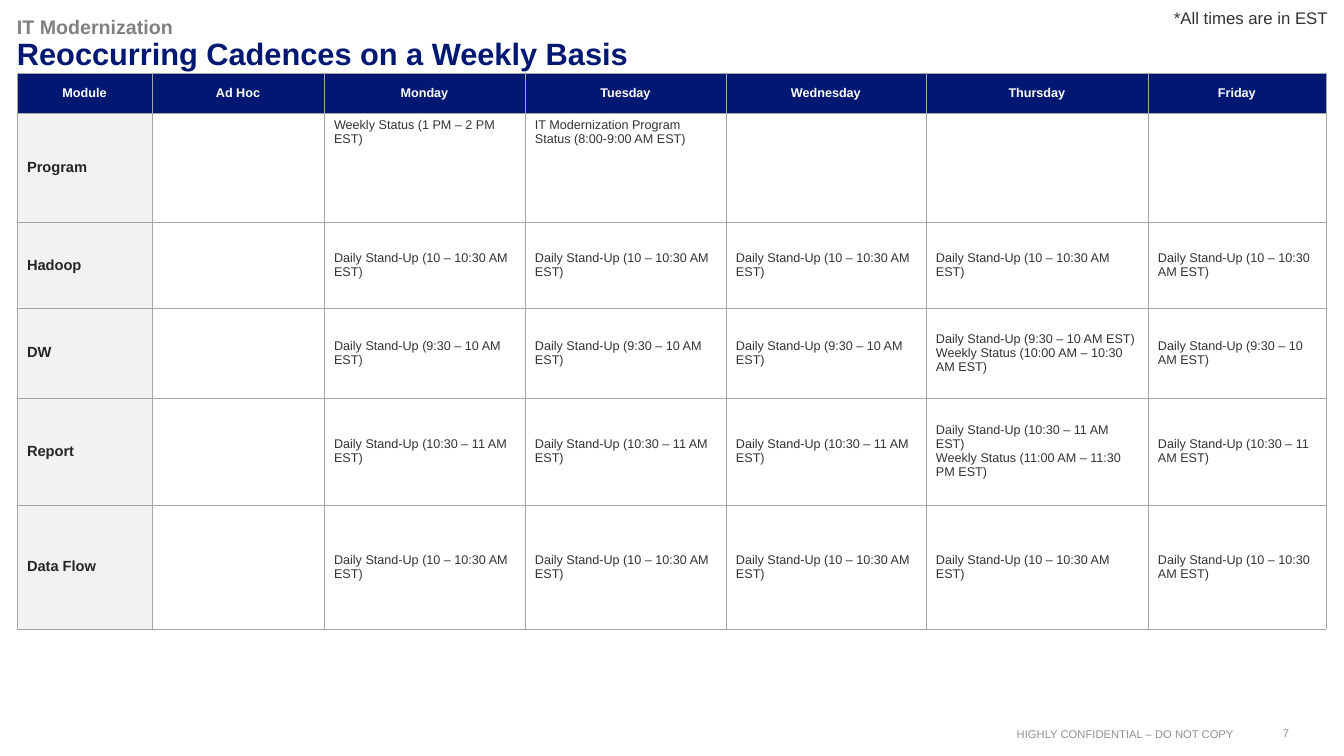
from lxml import etree
from pptx import Presentation
from pptx.dml.color import RGBColor
from pptx.enum.text import MSO_ANCHOR, MSO_AUTO_SIZE, PP_ALIGN
from pptx.oxml.ns import qn
from pptx.util import Emu, Pt

LEFT, CENTER, RIGHT = PP_ALIGN.LEFT, PP_ALIGN.CENTER, PP_ALIGN.RIGHT
TOP, MIDDLE, BOTTOM = MSO_ANCHOR.TOP, MSO_ANCHOR.MIDDLE, MSO_ANCHOR.BOTTOM
NO_FIT, GROW = MSO_AUTO_SIZE.NONE, MSO_AUTO_SIZE.SHAPE_TO_FIT_TEXT

NAVY = RGBColor(0x00, 0x18, 0x71)
WHITE = RGBColor(0xFF, 0xFF, 0xFF)
PALE = RGBColor(0xF2, 0xF2, 0xF2)
RULE = RGBColor(0xA6, 0xA6, 0xA6)
FAINT = RGBColor(0x90, 0x90, 0x90)
GRAY = RGBColor(0x80, 0x80, 0x80)
DARK = RGBColor(0x33, 0x33, 0x33)
INK = RGBColor(0x26, 0x26, 0x26)

FONT = "Arial"
SCALE = 914400 / 100.8

COLS = [135, 172, 201, 201, 200, 222, 178]
ROWS = [40, 109, 86, 90, 107, 124]
HEADS = ["Module", "Ad Hoc", "Monday", "Tuesday", "Wednesday", "Thursday", "Friday"]
PROGRAM = {
    2: "Weekly Status (1 PM – 2 PM EST)",
    3: "IT Modernization Program Status (8:00-9:00 AM EST)",
}
TEAMS = [
    ("Hadoop", "10 – 10:30 AM", ""),
    ("DW", "9:30 – 10 AM", "10:00 AM – 10:30 AM"),
    ("Report", "10:30 – 11 AM", "11:00 AM – 11:30 PM"),
    ("Data Flow", "10 – 10:30 AM", ""),
]
THURSDAY = HEADS.index("Thursday")


def px(count):
    """Turn pixels into EMU."""
    return Emu(round(count * SCALE))


def style(para, size, color, bold=False, align=LEFT):
    """Set the font and alignment of a paragraph."""
    para.alignment = align
    font = para.font
    font.name, font.size, font.bold = FONT, Pt(size), bold
    font.color.rgb = color


def trim(frame):
    """Remove the inner margins of a text frame."""
    frame.margin_left = frame.margin_right = 0
    frame.margin_top = frame.margin_bottom = 0


def add_title(slide):
    """Fill and place the two-line title."""
    title = slide.shapes.title
    title.left, title.top, title.width, title.height = map(px, (17, 18, 1277, 54))
    frame = title.text_frame
    trim(frame)
    frame.auto_size, frame.vertical_anchor = NO_FIT, BOTTOM
    frame.text = "IT Modernization\nReoccurring Cadences on a Weekly Basis"
    topic, head = frame.paragraphs
    style(topic, 14, GRAY, True)
    style(head, 22, NAVY, True)
    head.line_spacing = 0.9


def add_label(slide, box, text, size, color, align=LEFT, wrap=False):
    """Add a one-line text box and return its frame."""
    frame = slide.shapes.add_textbox(*map(px, box)).text_frame
    frame.word_wrap = wrap
    frame.auto_size = NO_FIT if wrap else GROW
    frame.text = text
    style(frame.paragraphs[0], size, color, align=align)
    return frame


def edge(cell):
    """Draw thin rules on all sides of a cell."""
    props = cell._tc.get_or_add_tcPr()
    for side in ("a:lnL", "a:lnR", "a:lnT", "a:lnB"):
        line = etree.SubElement(props, qn(side), w=str(Pt(0.5)))
        fill = etree.SubElement(line, qn("a:solidFill"))
        etree.SubElement(fill, qn("a:srgbClr"), val=str(RULE))


def fill_cell(cell, text, back, size, color, bold=False, align=LEFT, anchor=MIDDLE):
    """Rule, fill and write one cell."""
    edge(cell)
    cell.fill.solid()
    cell.fill.fore_color.rgb = back
    cell.vertical_anchor = anchor
    cell.text = text
    for para in cell.text_frame.paragraphs:
        style(para, size, color, bold, align)


def meets(col, daily, weekly):
    """Give the meetings of a team on one day."""
    if col < 2:
        return ""
    text = f"Daily Stand-Up ({daily} EST)"
    if weekly and col == THURSDAY:
        text += f"\nWeekly Status ({weekly} EST)"
    return text


def add_grid(slide):
    """Add the weekly table."""
    shape = slide.shapes.add_table(
        len(ROWS), len(COLS), px(17), px(73), px(sum(COLS)), px(sum(ROWS)))
    table = shape.table
    for col, width in zip(table.columns, COLS):
        col.width = px(width)
    for row, height in zip(table.rows, ROWS):
        row.height = px(height)
    for col, head in enumerate(HEADS):
        cell = table.cell(0, col)
        cell.margin_left = cell.margin_right = px(7)
        cell.margin_top = cell.margin_bottom = 0
        fill_cell(cell, head, NAVY, 9, WHITE, True, CENTER)
    names = ["Program"] + [team[0] for team in TEAMS]
    for row, name in enumerate(names, 1):
        fill_cell(table.cell(row, 0), name, PALE, 10.5, INK, True)
    for col in range(1, len(COLS)):
        fill_cell(table.cell(1, col), PROGRAM.get(col, ""), WHITE, 9, DARK, anchor=TOP)
        for row, (_, daily, weekly) in enumerate(TEAMS, 2):
            fill_cell(table.cell(row, col), meets(col, daily, weekly), WHITE, 9, DARK)


def main():
    """Build and save the slide."""
    deck = Presentation()
    deck.slide_width, deck.slide_height = px(1344), px(756)
    slide = deck.slides.add_slide(deck.slide_layouts[5])
    add_title(slide)
    add_grid(slide)
    add_label(slide, (1164, 3, 180, 30), "*All times are in EST", 12, DARK)
    trim(add_label(slide, (932, 727, 302, 13), "HIGHLY CONFIDENTIAL – DO NOT COPY",
                   8, FAINT, RIGHT, True))
    page = add_label(slide, (1279, 727, 14, 13), "7", 8, FAINT, CENTER)
    trim(page)
    page.vertical_anchor = MIDDLE
    deck.save("out.pptx")


if __name__ == "__main__":
    main()
